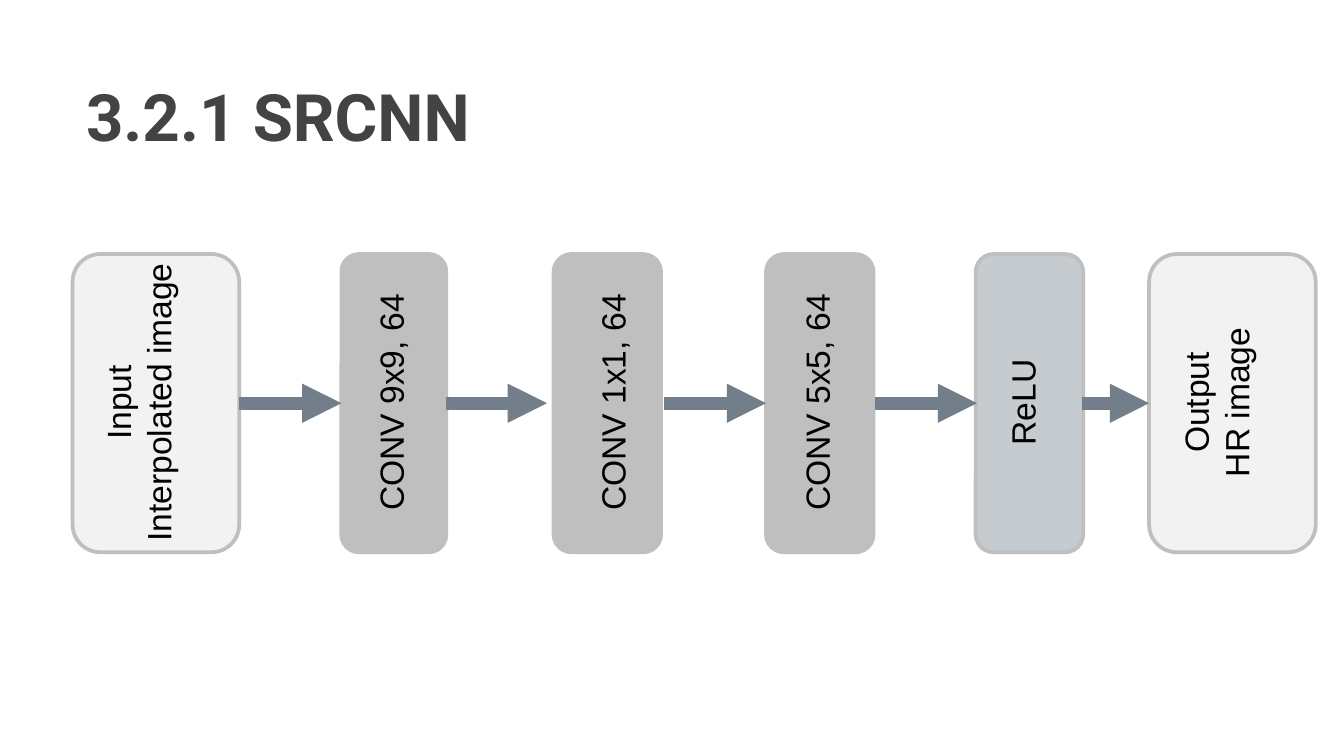
import pptx
import pptx.dml.color
import pptx.enum.shapes
import pptx.enum.text
import pptx.util
from lxml import etree
from pptx.oxml.ns import qn

Pt = pptx.util.Pt
RGBColor = pptx.dml.color.RGBColor
PP_ALIGN = pptx.enum.text.PP_ALIGN
MSO_ANCHOR = pptx.enum.text.MSO_ANCHOR

TITLE_GREY = RGBColor(0x43, 0x43, 0x43)
BLACK = RGBColor(0x00, 0x00, 0x00)
PALE = RGBColor(0xF2, 0xF2, 0xF2)
GREY = RGBColor(0xBF, 0xBF, 0xBF)
BLUE_GREY = RGBColor(0xC6, 0xCB, 0xD0)
ARROW = RGBColor(0x72, 0x7F, 0x8A)

INSET = 7.2
LABEL_LENGTH, LABEL_DEPTH = 184.3, 62.6

# Left edge, width, fill, label lines and label centre, across the diagram
LAYERS = [
    (0, 89.3, PALE, ["Input", "Interpolated image"], 37.4),
    (144, 56.2, GREY, ["CONV 9x9, 64"], 183.6),
    (257.7, 57.6, GREY, ["CONV 1x1, 64"], 302.4),
    (371.5, 57.6, GREY, ["CONV 5x5, 64"], 411.8),
    (483.8, 57.6, BLUE_GREY, ["ReLU"], 522),
    (576.7, 89.3, PALE, ["Output", "HR image"], 614.9),
]
ARROWS = [(89.3, 144), (200.1, 254.1), (316.8, 371.5), (429.8, 484.5), (540.7, 576.7)]


def set_frame(frame, anchor=MSO_ANCHOR.TOP):
    """Give a text frame even insets, wrapping and no automatic fitting."""
    frame.margin_left = frame.margin_right = Pt(INSET)
    frame.margin_top = frame.margin_bottom = Pt(INSET)
    frame.word_wrap = True
    frame.auto_size = pptx.enum.text.MSO_AUTO_SIZE.NONE
    frame.vertical_anchor = anchor


def format_text(frame, align, font_name, size, color, bold=False):
    for para in frame.paragraphs:
        para.alignment = align
        for span in para.runs:
            span.font.name = font_name
            span.font.size = Pt(size)
            span.font.bold = bold
            span.font.color.rgb = color


def place_title(page, left, top, width, height):
    title = page.shapes.title
    title.left, title.top = Pt(left), Pt(top)
    title.width, title.height = Pt(width), Pt(height)
    title.text_frame.text = "3.2.1 SRCNN"
    set_frame(title.text_frame)
    format_text(title.text_frame, PP_ALIGN.LEFT, "Roboto", 35, TITLE_GREY, True)


def add_block(page, left, top, width, height, fill):
    block = page.shapes.add_shape(
        pptx.enum.shapes.MSO_SHAPE.ROUNDED_RECTANGLE,
        Pt(left), Pt(top), Pt(width), Pt(height))
    block.shadow.inherit = False
    block.fill.solid()
    block.fill.fore_color.rgb = fill
    block.line.color.rgb = GREY
    block.line.width = Pt(2)


def add_label(page, center_x, center_y, lines):
    """Add text that reads upwards around the given centre."""
    box = page.shapes.add_textbox(
        Pt(center_x - LABEL_LENGTH / 2), Pt(center_y - LABEL_DEPTH / 2),
        Pt(LABEL_LENGTH), Pt(LABEL_DEPTH))
    box.rotation = 270
    box.text_frame.text = "\n".join(lines)
    set_frame(box.text_frame)
    format_text(box.text_frame, PP_ALIGN.CENTER, "Arial", 18, BLACK)


def add_arrow(page, start, end, y):
    arrow = page.shapes.add_connector(
        pptx.enum.shapes.MSO_CONNECTOR.STRAIGHT, Pt(start), Pt(y), Pt(end), Pt(y))
    arrow.line.color.rgb = ARROW
    arrow.line.width = Pt(7)
    etree.SubElement(arrow.line._get_or_add_ln(), qn("a:tailEnd"), type="triangle")
    etree.SubElement(arrow._element.spPr, qn("a:effectLst"))


def place_network(page, left, top, height):
    middle = top + height / 2
    for offset, width, fill, lines, label_center in LAYERS:
        add_block(page, left + offset, top, width, height, fill)
        add_label(page, left + label_center, middle - 0.4, lines)
    for start, end in ARROWS:
        add_arrow(page, left + start, left + end, middle)


def main():
    deck = pptx.Presentation()
    deck.slide_width, deck.slide_height = Pt(720), Pt(405)
    page = deck.slides.add_slide(deck.slide_layouts.get_by_name("Title Only"))
    place_title(page, 38.9, 33.8, 607, 45.4)
    place_network(page, 38.9, 136.1, 159.8)
    deck.save("out.pptx")


if __name__ == "__main__":
    main()
